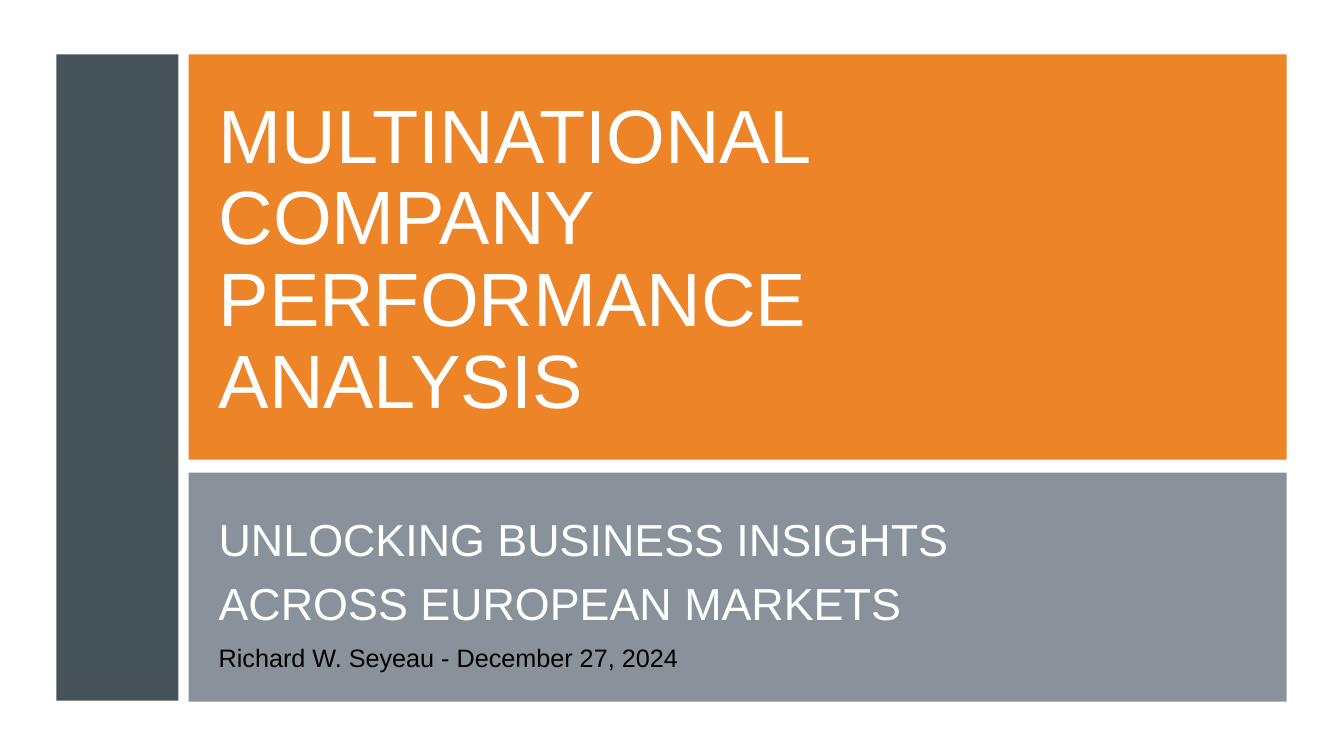
"""Build the title slide of a company performance presentation."""
from dataclasses import dataclass, field
from typing import Any

from lxml.etree import SubElement
from pptx import Presentation
from pptx.dml.color import RGBColor
from pptx.enum.shapes import MSO_SHAPE
from pptx.enum.text import MSO_ANCHOR, MSO_AUTO_SIZE, PP_ALIGN
from pptx.oxml.ns import qn
from pptx.slide import Slide
from pptx.util import Emu, Pt

EMU_PER_PX = 9144
FONT = "Arial"
COLOURS = {
    "slate": "465359",
    "orange": "ED8428",
    "grey": "6C7781",
    "white": "FFFFFF",
    "black": "000000",
}


@dataclass(frozen=True)
class Panel:
    area: tuple[int, int, int, int]
    colour: str
    opacity: int = 100


@dataclass(frozen=True)
class Caption:
    area: tuple[int, int, int, int]
    text: str
    size: int
    colour: str
    frame_format: dict[str, Any] = field(default_factory=dict)
    para_format: dict[str, Any] = field(default_factory=dict)


PANELS = [
    Panel((56, 54, 121, 641), "slate"),
    Panel((187, 54, 1089, 402), "orange"),
    Panel((187, 469, 1089, 227), "grey", 80),
]

CAPTIONS = [
    Caption((207, 77, 828, 364), "MULTINATIONAL COMPANY PERFORMANCE ANALYSIS", 54, "white",
            {"vertical_anchor": MSO_ANCHOR.MIDDLE}, {"line_spacing": 0.9}),
    Caption((207, 492, 828, 179), "UNLOCKING BUSINESS INSIGHTS ACROSS EUROPEAN MARKETS", 32, "white",
            {}, {"line_spacing": 1.2, "space_before": Pt(3.6), "space_after": Pt(6)}),
    Caption((207, 632, 1032, 40), "Richard W. Seyeau - December 27, 2024", 18, "black",
            {"auto_size": MSO_AUTO_SIZE.SHAPE_TO_FIT_TEXT}),
]


def px(length: int) -> Emu:
    return Emu(length * EMU_PER_PX)


def rgb(colour: str) -> RGBColor:
    return RGBColor.from_string(COLOURS[colour])


def apply_format(target: Any, values: dict[str, Any]) -> None:
    for name, value in values.items():
        setattr(target, name, value)


def draw_panel(page: Slide, panel: Panel) -> None:
    box = page.shapes.add_shape(MSO_SHAPE.RECTANGLE, *map(px, panel.area))
    box.shadow.inherit = False
    box.line.fill.background()
    box.fill.solid()
    box.fill.fore_color.rgb = rgb(panel.colour)
    if panel.opacity < 100:
        colour = box.fill._xPr.find(qn("a:solidFill"))[0]
        SubElement(colour, qn("a:alpha"), val=str(panel.opacity * 1000))


def draw_caption(page: Slide, caption: Caption) -> None:
    box = page.shapes.add_textbox(*map(px, caption.area))
    frame = box.text_frame
    apply_format(frame, {"word_wrap": True, **caption.frame_format})
    para = frame.paragraphs[0]
    apply_format(para, {"alignment": PP_ALIGN.LEFT, **caption.para_format})
    span = para.add_run()
    span.text = caption.text
    apply_format(span.font, {"name": FONT, "size": Pt(caption.size)})
    span.font.color.rgb = rgb(caption.colour)


def main() -> None:
    deck = Presentation()
    apply_format(deck, {"slide_width": px(1333), "slide_height": px(750)})
    page = deck.slides.add_slide(deck.slide_layouts[6])
    for panel in PANELS:
        draw_panel(page, panel)
    for caption in CAPTIONS:
        draw_caption(page, caption)
    deck.save("out.pptx")


if __name__ == "__main__":
    main()
